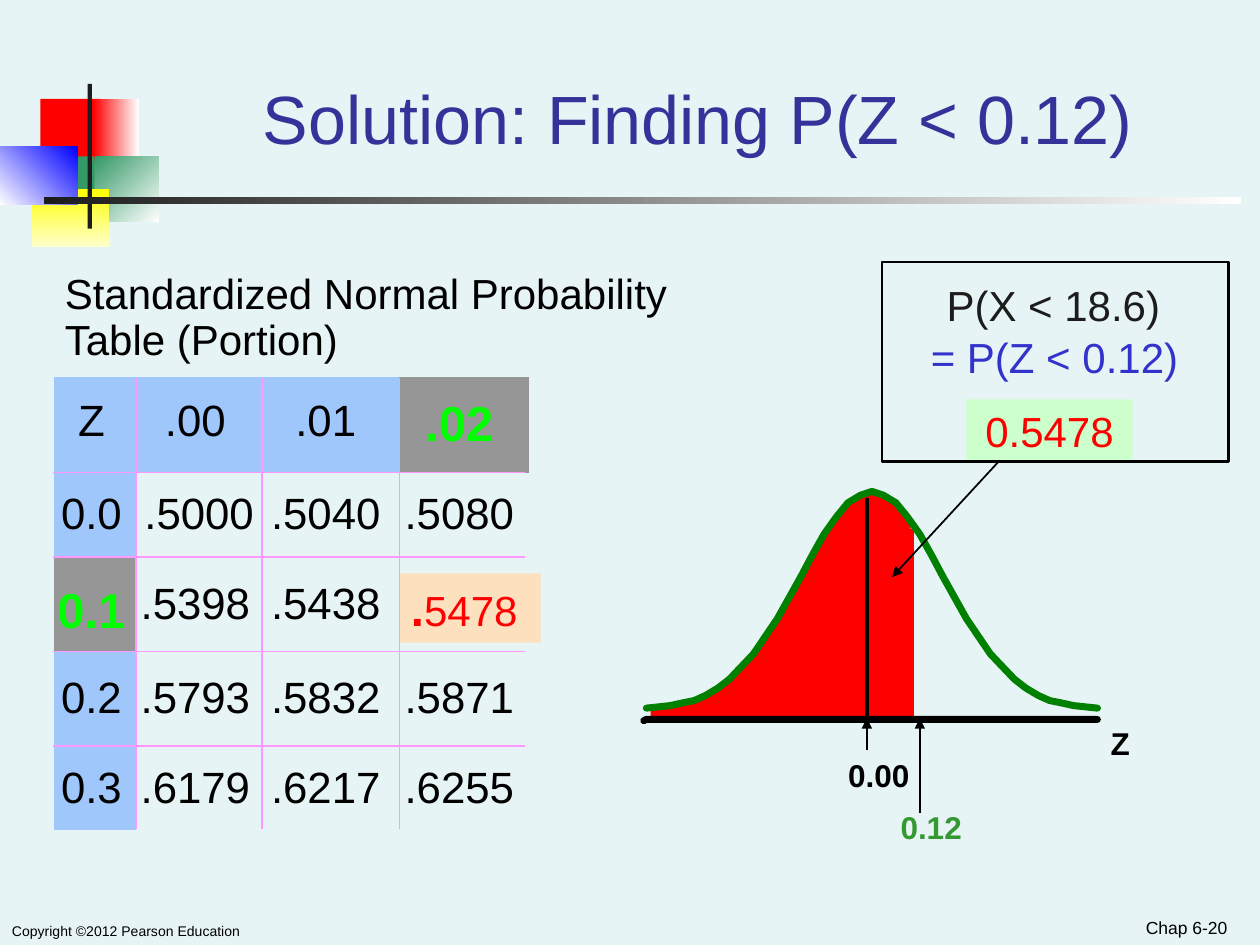
"""Build a slide that reads P(Z < 0.12) from a normal table and shades it under the curve."""
from dataclasses import dataclass
from itertools import accumulate

import lxml.etree
import pptx
import pptx.dml.color
import pptx.enum.shapes
import pptx.enum.text
import pptx.oxml.ns
import pptx.util

ALIGN = pptx.enum.text.PP_ALIGN
MIDDLE = pptx.enum.text.MSO_ANCHOR.MIDDLE


@dataclass(frozen=True)
class Theme:
    font: str = "Arial"
    background: str = "E7F4F5"
    black: str = "000000"
    ink: str = "1C1C1C"
    white: str = "FFFFFF"
    red: str = "FF0000"
    teal: str = "339966"
    yellow: str = "FFFF00"
    cream: str = "FFFFCC"
    blue: str = "0000FF"
    title: str = "333399"
    formula: str = "3333CC"
    curve: str = "008000"
    bound: str = "339933"
    header: str = "A0C7FC"
    chosen: str = "969696"
    lime: str = "00FF00"
    mint: str = "CCFFCC"
    peach: str = "FDE0BD"
    rule: str = "FF99FF"
    title_size: int = 39
    chosen_size: int = 28
    point_size: int = 27
    table_size: int = 25
    body_size: int = 24
    label_size: int = 18
    page_size: int = 10
    copyright_size: int = 8


class Sheet:
    columns, rows = 100, 75
    plain_table = "{2D5ABB26-0587-4C30-8999-92F81FD0307C}"

    def __init__(self, deck, theme):
        self.deck, self.theme = deck, theme
        self.page = deck.slides.add_slide(deck.slide_layouts[6])
        self.paint(self.page.background.fill, theme.background)

    def x(self, column):
        return round(self.deck.slide_width * column / self.columns)

    def y(self, row):
        return round(self.deck.slide_height * row / self.rows)

    def area(self, left, top, width, height):
        return self.x(left), self.y(top), self.x(width), self.y(height)

    def paint(self, fill, color):
        fill.solid()
        fill.fore_color.rgb = pptx.dml.color.RGBColor.from_string(color)

    def stroke(self, line, color, width):
        self.paint(line.fill, color)
        line.width = pptx.util.Pt(width)

    def style(self, font, size, color, bold=False):
        font.name, font.size, font.bold = self.theme.font, pptx.util.Pt(size), bold
        self.paint(font.fill, color)

    def rect(self, place, fill=None, fade=None, angle=0, line=None):
        shape = self.page.shapes.add_shape(
            pptx.enum.shapes.MSO_SHAPE.RECTANGLE, *self.area(*place))
        shape.shadow.inherit = False
        if fade:
            shape.fill.gradient()
            shape.fill.gradient_angle = -angle % 360
            for stop, color in zip(shape.fill.gradient_stops, (fill, fade)):
                stop.color.rgb = pptx.dml.color.RGBColor.from_string(color)
        elif fill:
            self.paint(shape.fill, fill)
        else:
            shape.fill.background()
        if line:
            self.stroke(shape.line, line, 1.5)
        else:
            shape.line.fill.background()

    def text(self, place, words, size, color, bold=False, align=ALIGN.CENTER, spacing=1.0):
        box = self.page.shapes.add_textbox(*self.area(*place))
        frame = box.text_frame
        frame.word_wrap, frame.vertical_anchor = True, MIDDLE
        frame.margin_left = frame.margin_right = self.x(0.5)
        frame.margin_top = frame.margin_bottom = 0
        frame.text = words
        for para in frame.paragraphs:
            para.alignment, para.line_spacing = align, spacing
            for span in para.runs:
                self.style(span.font, size, color, bold)

    def line(self, start, end, width, color, arrow=False):
        link = self.page.shapes.add_connector(
            pptx.enum.shapes.MSO_CONNECTOR.STRAIGHT,
            self.x(start[0]), self.y(start[1]), self.x(end[0]), self.y(end[1]))
        self.stroke(link.line, color, width)
        properties = link._element.spPr
        lxml.etree.SubElement(properties, pptx.oxml.ns.qn("a:effectLst"))
        if arrow:
            outline = properties.find(pptx.oxml.ns.qn("a:ln"))
            lxml.etree.SubElement(outline, pptx.oxml.ns.qn("a:tailEnd"), type="triangle")

    def outline(self, points, color, width, filled=False):
        spots = [(self.x(column), self.y(row)) for column, row in points]
        builder = self.page.shapes.build_freeform(*spots[0])
        builder.add_line_segments(spots[1:], close=filled)
        shape = builder.convert_to_shape()
        shape.shadow.inherit = False
        self.stroke(shape.line, color, width)
        shape.line._ln.set("cap", "rnd")
        if filled:
            self.paint(shape.fill, color)
        else:
            shape.fill.background()

    def table(self, left, top, widths, heights, values, chosen):
        theme = self.theme
        grid = self.page.shapes.add_table(
            len(heights), len(widths),
            *self.area(left, top, sum(widths), sum(heights))).table
        grid.first_row = grid.horz_banding = False
        grid._tbl.tblPr.find(pptx.oxml.ns.qn("a:tableStyleId")).text = self.plain_table
        for column, width in zip(grid.columns, widths):
            column.width = self.x(width)
        for row, height in zip(grid.rows, heights):
            row.height = self.y(height)
        for r, record in enumerate(values):
            for c, value in enumerate(record):
                cell, marked = grid.cell(r, c), (r, c) in chosen
                cell.margin_left, cell.margin_right = 0, self.x(0.6 if c < 2 else 0.8)
                cell.margin_top = self.y(1.2 if marked and r else 0)
                cell.margin_bottom = self.y(0 if marked or r else 0.5)
                cell.vertical_anchor = MIDDLE
                if r and c:
                    cell.fill.background()
                else:
                    self.paint(cell.fill, theme.chosen if marked else theme.header)
                cell.text_frame.text = value
                para = cell.text_frame.paragraphs[0]
                para.alignment = ALIGN.CENTER
                self.style(para.runs[0].font,
                           theme.chosen_size if marked else theme.table_size,
                           theme.lime if marked else theme.black, marked)
        return grid


def add_emblem(sheet, theme):
    sheet.rect((3.2, 7.85, 4.8, 5.2), theme.red)
    sheet.rect((7.4, 7.85, 3.6, 5.2), theme.red, theme.white)
    sheet.rect((7.5, 12.4, 5.1, 5.2), theme.teal, theme.white, 45)
    sheet.rect((4.3, 12.4, 3.2, 5.2), theme.teal)
    sheet.rect((2.55, 15, 6.1, 4.6), theme.yellow, theme.cream, 90)
    sheet.rect((0, 11.6, 6.15, 4.65), theme.white, theme.blue, 315)
    sheet.rect((6.95, 6.65, 0.35, 11.5), theme.ink)
    sheet.rect((3.5, 15.65, 95, 0.55), theme.ink, theme.white)


def add_probabilities(sheet, theme):
    sheet.text((4.65, 21, 50, 8.6), "Standardized Normal Probability\nTable (Portion)",
               theme.body_size, theme.black, align=ALIGN.LEFT, spacing=0.92)
    sheet.rect((31.7, 45.5, 11.2, 5.5), theme.peach)
    values = [["Z", ".00", ".01", ".02"],
              ["0.0", ".5000", ".5040", ".5080"],
              ["0.1", ".5398", ".5438", "."],
              ["0.2", ".5793", ".5832", ".5871"],
              ["0.3", ".6179", ".6217", ".6255"]]
    left, top = 4.3, 29.9
    widths, heights = (6.5, 10, 10.9, 10.3), (7.6, 6.7, 7.5, 7.5, 6.7)
    grid = sheet.table(left, top, widths, heights, values, {(0, 3), (2, 0)})
    grid.cell(1, 1).margin_right = 0
    cell = grid.cell(2, 3)
    cell.margin_right, cell.margin_top = 0, sheet.y(1)
    answer = cell.text_frame.paragraphs[0]
    answer.add_run().text = "5478"
    point, digits = answer.runs
    sheet.style(point.font, theme.point_size, theme.red, True)
    sheet.style(digits.font, theme.body_size, theme.red)
    for column in accumulate(widths[:-1], initial=left):
        if column > left:
            sheet.line((column, 30), (column, 65.8), 0.75, theme.rule)
    for row in accumulate(heights[:-1], initial=top):
        if row > top:
            sheet.line((4.2, row), (41.7, row), 0.75, theme.rule)


def add_curve(sheet, theme):
    peak, mean, base, bound = 69.2, 68.8, 57.1, 72.2
    offsets = (17.9, 16, 15.1, 14.1, 13.2, 12.2, 11.3, 9.4, 7.5, 5.6, 4.7, 3.8, 2.8, 1.9, 0.9)
    heights = (56.2, 56, 55.8, 55.6, 55.2, 54.6, 53.9, 51.9, 49.1, 45.7, 44, 42.4, 41, 39.9, 39.3)
    rise = [(peak - offset, row) for offset, row in zip(offsets, heights)] + [(peak, 39)]
    fall = [(2 * peak - column, row) for column, row in reversed(rise)]
    below = [spot for spot in rise[1:] if spot[0] < mean]
    above = [spot for spot in fall if spot[0] < bound]
    sheet.outline([(51.7, base), (51.7, 56.2), *below, (mean, 39.2), (mean, base)],
                  theme.red, 1, filled=True)
    sheet.outline([(mean, base), (mean, 39.2), *above, (bound, 41.5), (bound, base)],
                  theme.red, 1, filled=True)
    sheet.line((bound, 42), (bound, 57), 5, theme.red)
    sheet.line((mean, 39.5), (mean, 57), 2.5, theme.black)
    for half in (fall, rise):
        sheet.outline(half, theme.curve, 4)
    sheet.outline([(51.1, 57.2), (51.3, base), (87.1, base)], theme.black, 4)
    for place, words, color in (((86.8, 57, 4.2, 4), "Z", theme.black),
                                ((66.35, 59.5, 6.8, 4), "0.00", theme.black),
                                ((70.5, 63.65, 6.8, 4), "0.12", theme.bound)):
        sheet.text(place, words, theme.label_size, color, bold=True)
    for start, end in (((mean, 59.5), (mean, 57)), ((73, 64.5), (73, 57)),
                       ((79.2, 36.7), (70.8, 45.8))):
        sheet.line(start, end, 1, theme.black, arrow=True)


def add_result(sheet, theme):
    sheet.rect((76.7, 31.7, 13.2, 5), theme.mint)
    for left, row, words, color in ((72.4, 21.7, "P(X < 18.6)", theme.ink),
                                    (72.5, 25.8, "= P(Z < 0.12)", theme.formula),
                                    (72.1, 31.7, "0.5478", theme.red)):
        sheet.text((left, row, 22.4, 5), words, theme.body_size, color)
    sheet.rect((70, 20.8, 27.5, 15.85), line=theme.black)


def main():
    deck = pptx.Presentation()
    deck.slide_width, deck.slide_height = pptx.util.Inches(10), pptx.util.Inches(7.5)
    theme = Theme()
    sheet = Sheet(deck, theme)
    add_emblem(sheet, theme)
    sheet.text((12.5, 3.05, 85.8, 12.5), "Solution: Finding P(Z < 0.12)",
               theme.title_size, theme.title)
    add_probabilities(sheet, theme)
    add_curve(sheet, theme)
    add_result(sheet, theme)
    sheet.text((0.45, 72.9, 64, 2), "Copyright ©2012 Pearson Education",
               theme.copyright_size, theme.black, align=ALIGN.LEFT)
    sheet.text((75, 72.15, 22.9, 3), "Chap 6-20",
               theme.page_size, theme.black, align=ALIGN.RIGHT)
    deck.save("out.pptx")


if __name__ == "__main__":
    main()
